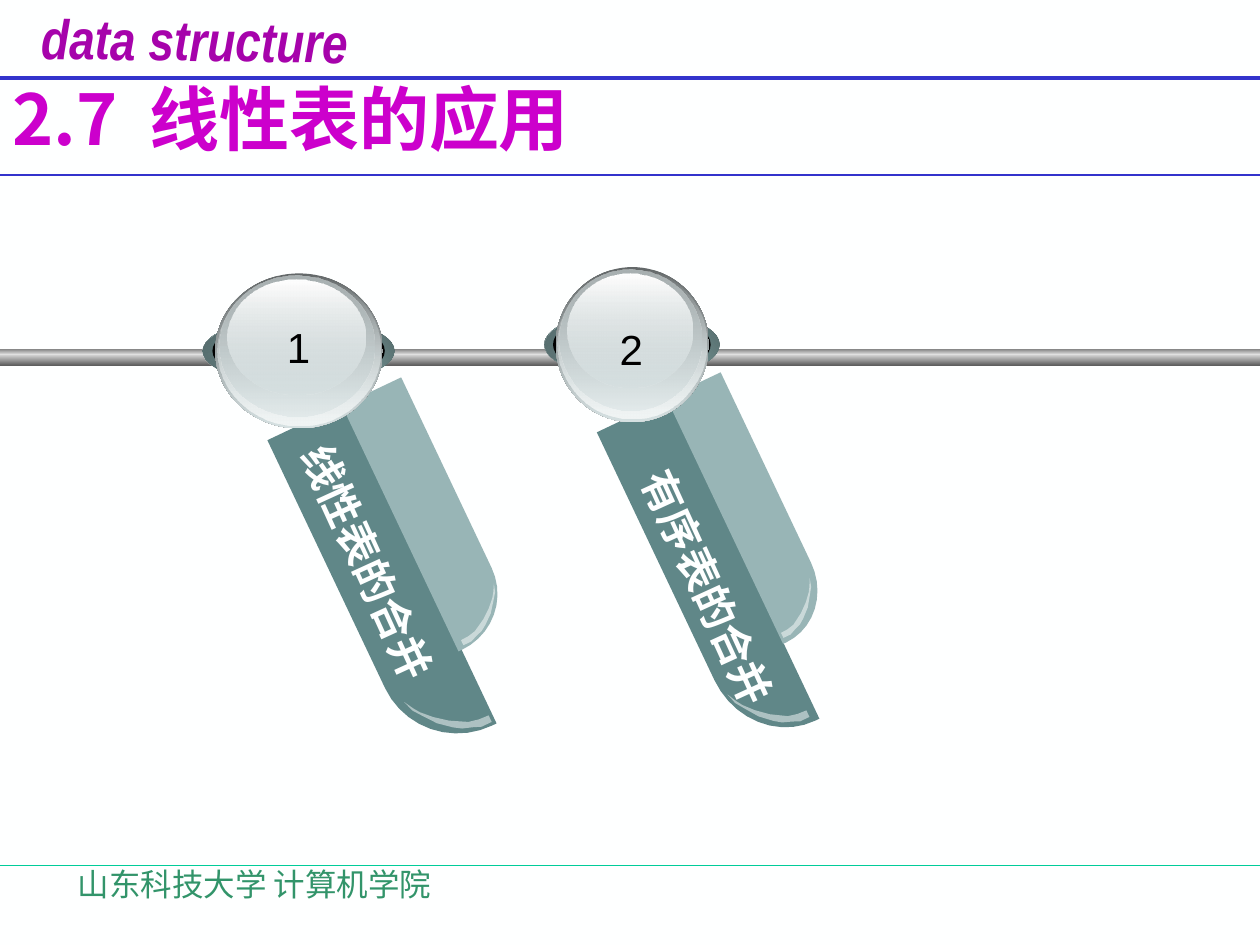
import math

from lxml import etree
from pptx import Presentation
from pptx import util as u
from pptx.dml.color import RGBColor
from pptx.enum import shapes, text
from pptx.oxml import ns

PAPER = RGBColor(0xFE, 0xFF, 0xFF)
WHITE = RGBColor(0xFF, 0xFF, 0xFF)
BLACK = RGBColor(0, 0, 0)
BLUE = RGBColor(0x33, 0x33, 0xCC)
GREEN_RULE = RGBColor(0, 0xCC, 0x99)
GREEN_TEXT = RGBColor(0x32, 0x94, 0x6A)
PURPLE = RGBColor(0xA6, 0x03, 0xAB)
MAGENTA = RGBColor(0xCC, 0, 0xCC)
DARK_TEAL = RGBColor(0x60, 0x87, 0x88)
LIGHT_TEAL = RGBColor(0x98, 0xB5, 0xB6)
TEAL = RGBColor(0x83, 0xA6, 0xA7)
RING_DARK = RGBColor(0x47, 0x5A, 0x5A)
RING_MID = RGBColor(0x53, 0x69, 0x6A)
GLASS = RGBColor(0xD6, 0xE1, 0xE2)
GLASS_RIM = RGBColor(0x63, 0x68, 0x69)
GLASS_GREY = RGBColor(0xAA, 0xB2, 0xB3)
GLASS_PALE = RGBColor(0xF1, 0xF5, 0xF5)
PIPE_GREY = RGBColor(0x80, 0x80, 0x80)
PIPE_PALE = RGBColor(0xEC, 0xEC, 0xEC)
PIPE_LIGHT = RGBColor(0xCF, 0xCF, 0xCF)
PIPE_DARK = RGBColor(0x5F, 0x5F, 0x5F)

CJK = "Noto Sans CJK SC"
RIBBON_TURN, LABEL_TURN = 64.6, 65.4

# Ellipses of a knob as shares of its box, then angle and (position, colour, opacity)
SIDE, RING = (0.08, 0.285, 0.14, 0.43), (0, 0.285, 1, 0.43)
KNOB_LAYERS = [
    (SIDE, 45, [(0, WHITE, 100), (50, TEAL, 100), (100, WHITE, 100)]),
    (SIDE, 45, [(0, TEAL, 32), (100, BLACK, 90)]),
    (RING, 315, [(0, RING_DARK, 100), (50, TEAL, 100), (100, RING_DARK, 100)]),
    (RING, 45, [(0, RING_MID, 100), (100, TEAL, 0)]),
    ((0.05, 0.285, 0.9, 0.43), 0, BLACK),
    ((0.065, 0, 0.875, 1), 90, [(0, GLASS_RIM, 100), (100, GLASS, 100)]),
    ((0.075, 0.01, 0.85, 0.97), 90, [(0, GLASS, 0), (100, GLASS_PALE, 100)]),
    ((0.085, 0.016, 0.81, 0.91), 90, [(0, GLASS_GREY, 100), (100, GLASS, 48)]),
    ((0.13, 0.04, 0.717, 0.74), 90, [(0, WHITE, 100), (100, GLASS, 38)]),
]

# Outlines in unit boxes: a strip with one rounded corner, and the gleam along it
ROUNDED = [(0.775 + 0.225 * math.sin(a), 0.06 + 0.94 * math.cos(a))
           for a in (math.radians(9 * step) for step in range(11))]
STRIP = [(0, 0), (0, 1)] + ROUNDED + [(1, 0)]
GLEAM = [(0, 1), (0.2, 0.95), (0.37, 0.85), (0.6, 0.71), (0.79, 0.53), (0.88, 0.42),
         (0.94, 0.28), (1, 0.16), (1, 0), (0.87, 0), (0.86, 0.15), (0.82, 0.3),
         (0.65, 0.54), (0.47, 0.72), (0.29, 0.86), (0.18, 0.92)]

# Centre, length in knob heights, thickness in knob widths
RIBBON_PARTS = [
    (STRIP, False, (0.935, 1.99), 2.285, 0.447, DARK_TEAL, 100),
    (GLEAM, False, (1.28, 2.83), 0.358, 0.368, WHITE, 49),
    (STRIP, True, (1.185, 1.555), 1.756, 0.343, LIGHT_TEAL, 100),
    (GLEAM, True, (1.44, 2.2), 0.276, 0.282, WHITE, 49),
]


def paint(shape, fill, angle=0, opacity=100):
    """Fill with a colour, or with a list of gradient stops."""
    shape.shadow.inherit = False
    shape.line.fill.background()
    if isinstance(fill, list):
        shape.fill.gradient()
        gradient = shape.element.spPr.find(ns.qn("a:gradFill"))
        for child in list(gradient):
            gradient.remove(child)
        stops = etree.SubElement(gradient, ns.qn("a:gsLst"))
        for position, colour, alpha in fill:
            stop = etree.SubElement(stops, ns.qn("a:gs"), pos=str(position * 1000))
            tint = etree.SubElement(stop, ns.qn("a:srgbClr"), val=str(colour))
            etree.SubElement(tint, ns.qn("a:alpha"), val=str(alpha * 1000))
        etree.SubElement(gradient, ns.qn("a:lin"), ang=str(angle * 60000), scaled="0")
        return
    shape.fill.solid()
    shape.fill.fore_color.rgb = fill
    if opacity < 100:
        tint = shape.element.spPr.find(".//" + ns.qn("a:srgbClr"))
        etree.SubElement(tint, ns.qn("a:alpha"), val=str(opacity * 1000))


def add_preset(parent, kind, box, fill, angle):
    paint(parent.add_shape(kind, *map(u.Inches, box)), fill, angle)


def add_text(parent, box, runs, size, colour, font=CJK, bold=False, italic=False,
             turn=0, wrap=True, grow=False, anchor=text.MSO_ANCHOR.TOP, align=None):
    """Each run is its wording and its letter spacing in points."""
    holder = parent.add_textbox(*map(u.Inches, box))
    holder.rotation = turn
    frame = holder.text_frame
    frame.word_wrap = wrap
    frame.vertical_anchor = anchor
    frame.auto_size = (text.MSO_AUTO_SIZE.SHAPE_TO_FIT_TEXT if grow
                       else text.MSO_AUTO_SIZE.NONE)
    paragraph = frame.paragraphs[0]
    paragraph.alignment = align
    for words, spacing in runs:
        run = paragraph.add_run()
        run.text = words
        run.font.size = u.Pt(size)
        run.font.bold, run.font.italic = bold, italic
        run.font.color.rgb = colour
        run.font.name = font
        properties = run.font._element
        etree.SubElement(properties, ns.qn("a:ea"), typeface=font)
        if spacing:
            properties.set("spc", str(spacing * 100))


def add_rule(parent, y, colour, weight):
    rule = parent.add_connector(shapes.MSO_CONNECTOR.STRAIGHT, 0, u.Inches(y),
                                u.Inches(10), u.Inches(y))
    rule.line.color.rgb = colour
    rule.line.width = u.Pt(weight)
    etree.SubElement(rule.element.spPr, ns.qn("a:effectLst"))


def add_header(parent, x, y, width):
    add_rule(parent, y + 0.62, BLUE, 2.25)
    add_text(parent, (x + 0.23, y - 0.01, 2.29, 0.54), [("data structure", 0)], 32, PURPLE,
             "Arial Narrow", bold=True, italic=True, turn=0.8, wrap=False)
    add_text(parent, (x, y + 0.56, width, 0.75),
             [("2.7", 0), (" ", 9), ("线性表的应用", 0)], 40, MAGENTA,
             bold=True, anchor=text.MSO_ANCHOR.MIDDLE)
    add_rule(parent, y + 1.39, BLUE, 1)


def add_pipe(parent, x, y, width):
    pipe = parent.add_group_shape().shapes
    rect = shapes.MSO_SHAPE.RECTANGLE
    add_preset(pipe, rect, (x, y, width, 0.05),
               [(0, PIPE_GREY, 100), (100, PIPE_PALE, 100)], 90)
    add_preset(pipe, rect, (x, y + 0.05, width, 0.08),
               [(0, PIPE_LIGHT, 100), (100, PIPE_DARK, 100)], 90)


def add_ribbon_part(parent, outline, flip, centre, size, colour, opacity):
    length, thickness = size
    left, top = centre[0] - length / 2, centre[1] - thickness / 2
    points = [(u.Inches(left + px * length),
               u.Inches(top + (1 - py if flip else py) * thickness)) for px, py in outline]
    builder = parent.build_freeform(*points[0], scale=1.0)
    builder.add_line_segments(points[1:], close=True)
    part = builder.convert_to_shape()
    part.rotation = RIBBON_TURN
    paint(part, colour, opacity=opacity)


def add_topic(parent, box, label, label_box, wrap):
    """A hanging ribbon under a glass knob; box is the knob's."""
    x, y, width, height = box
    topic = parent.add_group_shape().shapes
    for outline, flip, (cx, cy), length, thickness, colour, opacity in RIBBON_PARTS:
        add_ribbon_part(topic, outline, flip, (x + cx * width, y + cy * height),
                        (length * height, thickness * width), colour, opacity)
    for (sx, sy, sw, sh), angle, fill in KNOB_LAYERS:
        add_preset(topic, shapes.MSO_SHAPE.OVAL,
                   (x + sx * width, y + sy * height, sw * width, sh * height), fill, angle)
    add_text(topic, label_box, [(label, 0)], 24, PAPER, bold=True,
             turn=LABEL_TURN, wrap=wrap, grow=True)


def add_footer(parent, x, y):
    add_rule(parent, y, GREEN_RULE, 0.75)
    add_text(parent, (x, y - 0.05, 4.14, 0.5), [("山东科技大学 计算机学院", 0)], 18, GREEN_TEXT)


def main():
    deck = Presentation()
    deck.slide_width, deck.slide_height = u.Inches(10), u.Inches(7.5)
    slide = deck.slides.add_slide(deck.slide_layouts[6])
    slide.background.fill.solid()
    slide.background.fill.fore_color.rgb = PAPER
    parts = slide.shapes

    add_header(parts, 0, 0, 8.59)
    add_pipe(parts, 0, 2.77, 10)
    add_topic(parts, (1.61, 2.17, 1.52, 1.23), "线性表的合并", (1.82, 4.21, 2.2, 0.5), False)
    add_topic(parts, (4.32, 2.12, 1.39, 1.23), "有序表的合并", (4.43, 4.55, 2.5, 0.5), True)
    # Knob numbers
    for number, x, y in (("1", 2.08, 2.5), ("2", 4.72, 2.52)):
        add_text(parts, (x, y, 0.58, 0.5), [(number, 0)], 24, BLACK, "Arial",
                 grow=True, align=text.PP_ALIGN.CENTER)
    add_footer(parts, 0.52, 6.87)
    deck.save("out.pptx")


if __name__ == "__main__":
    main()
